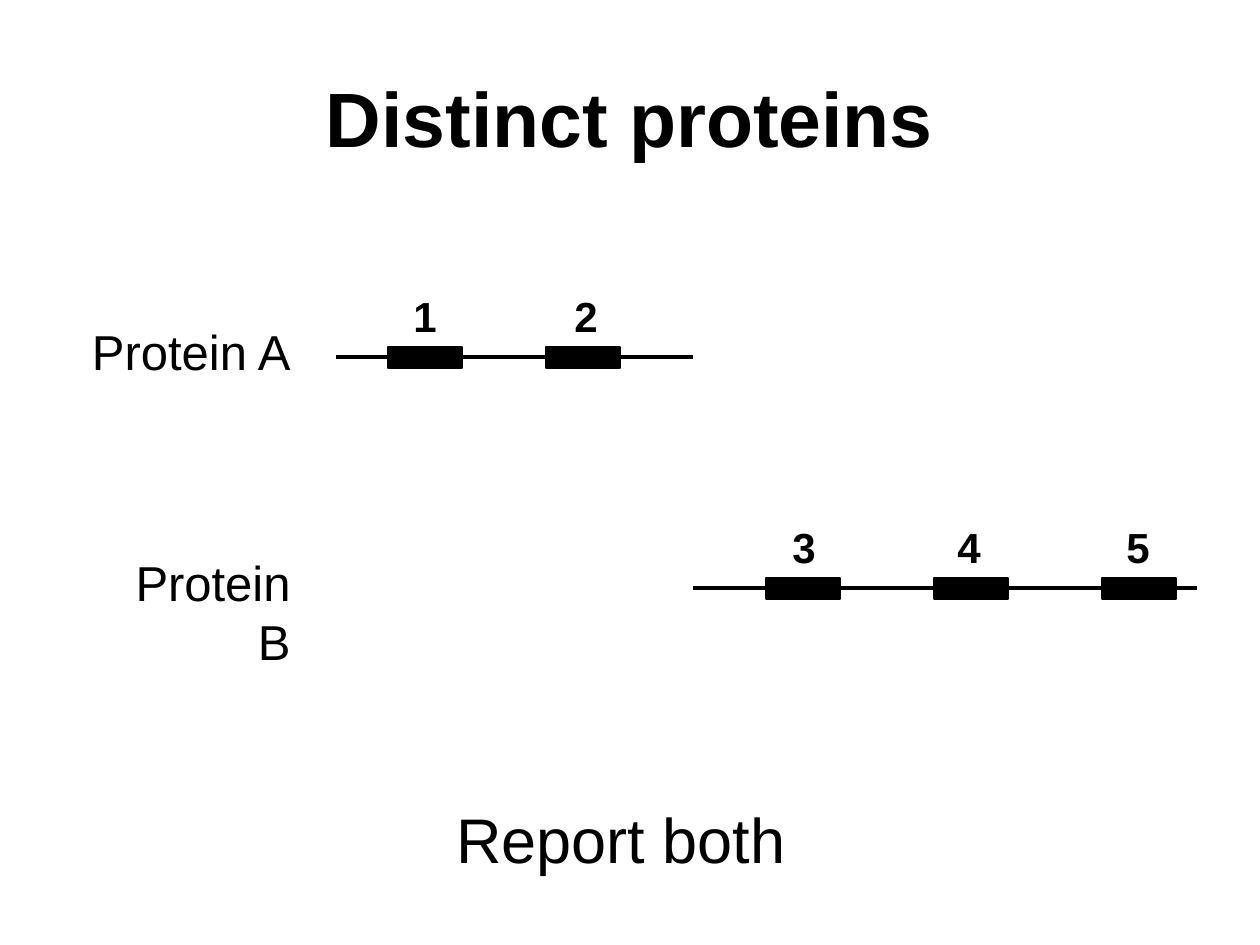
from lxml.etree import SubElement
from pptx import Presentation
from pptx.dml.color import RGBColor
from pptx.enum.shapes import MSO_CONNECTOR, MSO_SHAPE
from pptx.enum.text import MSO_ANCHOR, MSO_AUTO_SIZE, PP_ALIGN
from pptx.oxml.ns import qn
from pptx.util import Emu, Pt

PX_PER_INCH = 126
COLORS = {"ink": "000000", "background": "FFFFFF"}
FONT = "Arial"


def px(length):
    return Emu(round(length * 914400 / PX_PER_INCH))


def color(name):
    return RGBColor.from_string(COLORS[name])


def add_text(slide, box, text, size, bold=False, align=PP_ALIGN.LEFT):
    shape = slide.shapes.add_textbox(*map(px, box))
    frame = shape.text_frame
    frame.word_wrap = False
    frame.auto_size = MSO_AUTO_SIZE.SHAPE_TO_FIT_TEXT
    paragraph = frame.paragraphs[0]
    paragraph.text = text
    paragraph.alignment = align
    paragraph.font.name = FONT
    paragraph.font.size = Pt(size)
    paragraph.font.bold = bold
    paragraph.font.color.rgb = color("ink")
    return shape


def add_title(slide, box, text):
    frame = add_text(slide, box, text, 44, True, PP_ALIGN.CENTER).text_frame
    frame.word_wrap = True
    frame.auto_size = MSO_AUTO_SIZE.NONE
    frame.vertical_anchor = MSO_ANCHOR.MIDDLE


def add_line(slide, start, end):
    points = map(px, (*start, *end))
    line = slide.shapes.add_connector(MSO_CONNECTOR.STRAIGHT, *points)
    line.line.color.rgb = color("ink")
    line.line.width = Pt(2.25)
    SubElement(line._element.spPr, qn("a:effectLst"))


def add_peptide(slide, box):
    shape = slide.shapes.add_shape(MSO_SHAPE.RECTANGLE, *map(px, box))
    shape.shadow.inherit = False
    shape.fill.solid()
    shape.fill.fore_color.rgb = color("ink")
    shape.line.color.rgb = color("ink")
    shape.line.width = Pt(1)


def add_protein(slide, box, name, sequence, first_peptide, step, numbers):
    """Draw a protein row; sequence is (start, end), numbers maps text to its x.

    All x positions count from the left of the box.
    """
    left, top, _, height = box
    axis = top + 73
    start, end = sequence
    add_line(slide, (left + start, axis), (left + end, axis))
    add_text(slide, (left, top + 31, 226, height - 31), name, 28,
             align=PP_ALIGN.RIGHT)
    for index, (number, number_x) in enumerate(numbers.items()):
        peptide_x = left + first_peptide + index * step
        add_peptide(slide, (peptide_x, axis - 10, 74, 21))
        add_text(slide, (left + number_x, top, 48, 63), number, 24, bold=True)


def main():
    presentation = Presentation()
    presentation.slide_width = px(1260)
    presentation.slide_height = px(945)
    slide = presentation.slides.add_slide(presentation.slide_layouts[6])
    slide.background.fill.solid()
    slide.background.fill.fore_color.rgb = color("background")

    add_title(slide, (63, 38, 1134, 158), "Distinct proteins")
    add_protein(slide, (77, 284, 1120, 103), "Protein A", (259, 616),
                311, 158, {"1": 324, "2": 485})
    add_protein(slide, (77, 515, 1120, 103), "Protein B", (616, 1120),
                689, 168, {"3": 703, "4": 868, "5": 1037})
    add_text(slide, (444, 794, 354, 88), "Report both", 36)

    presentation.save("out.pptx")


if __name__ == "__main__":
    main()
